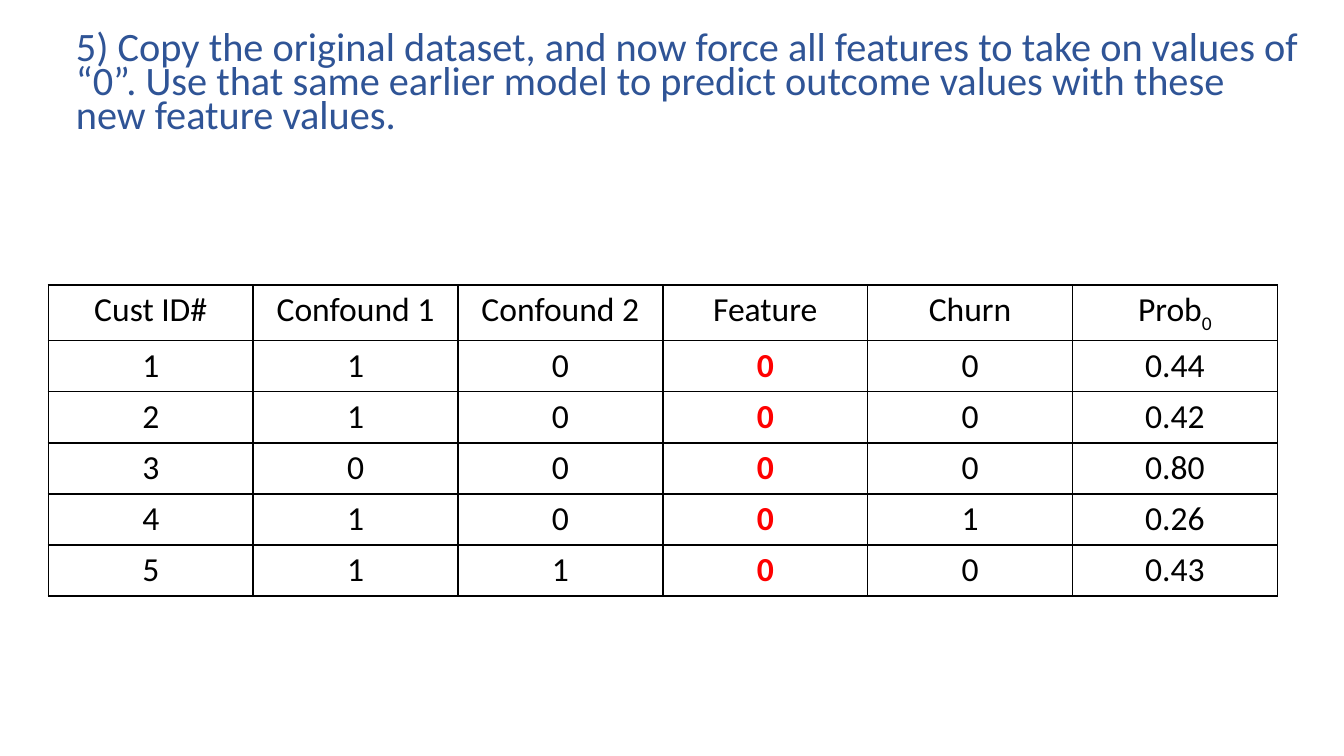
from typing import NamedTuple

from lxml.etree import SubElement
from pptx import Presentation
from pptx.dml.color import RGBColor
from pptx.enum.text import MSO_ANCHOR, MSO_AUTO_SIZE, PP_ALIGN
from pptx.oxml.ns import qn
from pptx.util import Pt

BLUE = RGBColor(0x2F, 0x54, 0x96)
BLACK = RGBColor(0, 0, 0)
RED = RGBColor(0xFF, 0, 0)

TITLE = (
    "5) Copy the original dataset, and now force all features to take on "
    "values of “0”. Use that same earlier model to predict outcome values "
    "with these new feature values."
)
HEADS = ("Cust ID#", "Confound 1", "Confound 2", "Feature", "Churn", "Prob")
COL_W, ROW_H = 109.73, 21.6


class Record(NamedTuple):
    cust: str
    first: str
    second: str
    feature: str
    churn: str
    prob: str


RECORDS = (
    Record("1", "1", "0", "0", "0", "0.44"),
    Record("2", "1", "0", "0", "0", "0.42"),
    Record("3", "0", "0", "0", "0", "0.80"),
    Record("4", "1", "0", "0", "1", "0.26"),
    Record("5", "1", "1", "0", "0", "0.43"),
)


def write(para, text: str, *, size: float = 18, color: RGBColor = BLACK,
          bold: bool = False, align=PP_ALIGN.CENTER, base: int = 0) -> None:
    """Add a run to a paragraph; base is the baseline shift in percent."""
    para.alignment = align
    run = para.add_run()
    run.text = text
    font = run.font
    font.name, font.size, font.bold = "Calibri", Pt(size), bold
    font.color.rgb = color
    if base:
        font._element.set("baseline", str(base * 1000))


def border(cell) -> None:
    props = cell._tc.get_or_add_tcPr()
    for at, side in enumerate(("lnL", "lnR", "lnT", "lnB")):
        line = props.makeelement(qn(f"a:{side}"), {"w": str(Pt(1))})
        fill = SubElement(line, qn("a:solidFill"))
        SubElement(fill, qn("a:srgbClr"), val=str(BLACK))
        props.insert(at, line)


def style(cell) -> None:
    cell.margin_left = cell.margin_right = Pt(5.4)
    cell.margin_top = cell.margin_bottom = Pt(2.7)
    cell.fill.background()
    border(cell)


def add_title(slide) -> None:
    title = slide.shapes.title
    title.left, title.top = Pt(35.3), Pt(13)
    title.width, title.height = Pt(667.4), Pt(44)
    frame = title.text_frame
    frame.word_wrap = True
    frame.auto_size = MSO_AUTO_SIZE.NONE
    frame.vertical_anchor = MSO_ANCHOR.TOP
    frame.margin_left = frame.margin_right = Pt(5.4)
    frame.margin_top = frame.margin_bottom = Pt(5.4)
    para = frame.paragraphs[0]
    para.line_spacing = 0.7
    para.space_before = Pt(0)
    write(para, TITLE, size=21.6, color=BLUE, align=PP_ALIGN.LEFT)


def add_grid(slide) -> None:
    rows = (HEADS, *RECORDS)
    table = slide.shapes.add_table(
        len(rows), len(HEADS), Pt(25.9), Pt(152.6),
        Pt(COL_W * len(HEADS)), Pt(ROW_H * len(rows))).table
    table.first_row = table.horz_banding = False
    for col in table.columns:
        col.width = Pt(COL_W)
    for r, row in enumerate(rows):
        table.rows[r].height = Pt(ROW_H)
        for c, text in enumerate(row):
            cell = table.cell(r, c)
            style(cell)
            forced = r > 0 and HEADS[c] == "Feature"
            write(cell.text_frame.paragraphs[0], text, bold=forced,
                  color=RED if forced else BLACK)
    last = table.cell(0, len(HEADS) - 1)
    write(last.text_frame.paragraphs[0], "0", base=-25)


def main() -> None:
    deck = Presentation()
    deck.slide_width, deck.slide_height = Pt(720), Pt(405)
    slide = deck.slides.add_slide(deck.slide_layouts[5])
    add_title(slide)
    add_grid(slide)
    deck.save("out.pptx")


if __name__ == "__main__":
    main()
